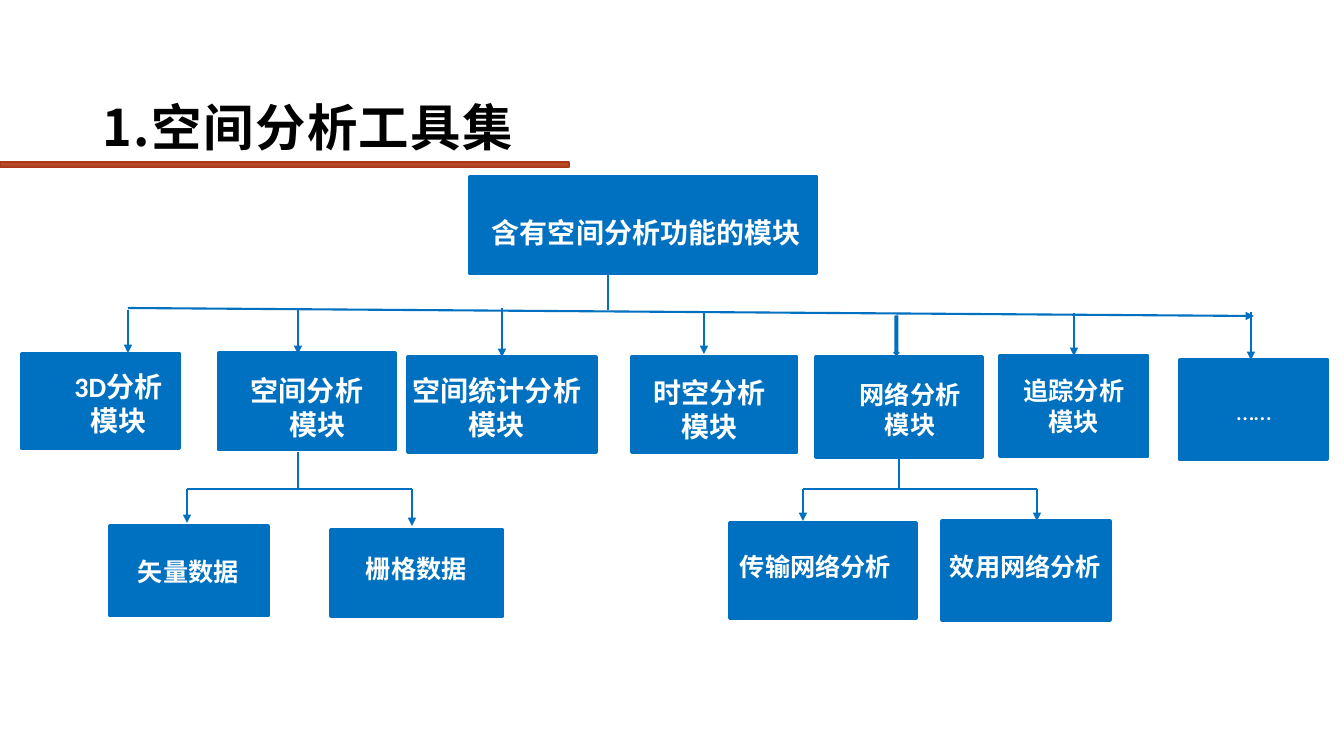
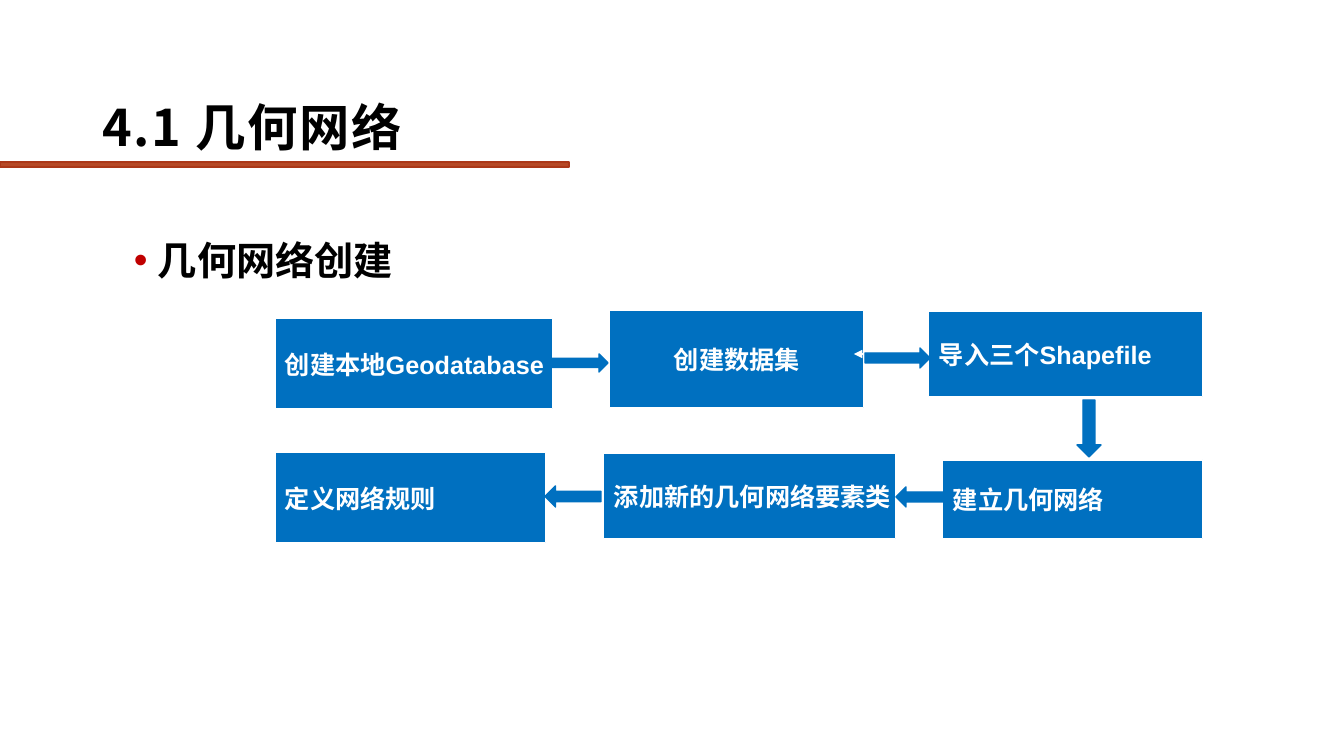
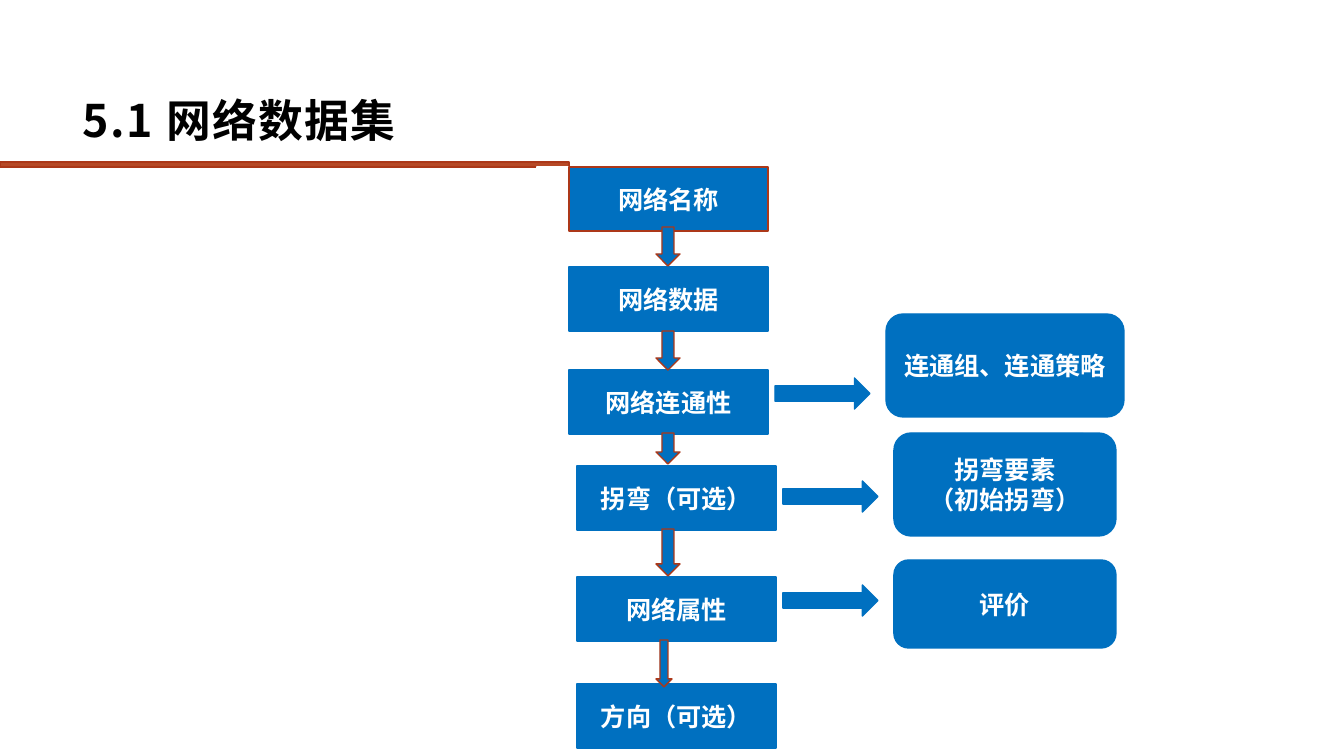
"""Build three slides on spatial analysis modules, geometric networks and network datasets."""
from dataclasses import dataclass

from lxml import etree
from pptx import Presentation
from pptx.dml.color import RGBColor
from pptx.enum.shapes import MSO_CONNECTOR, MSO_SHAPE
from pptx.enum.text import MSO_ANCHOR, MSO_AUTO_SIZE, PP_ALIGN
from pptx.oxml.ns import qn
from pptx.util import Pt

RECTANGLE, ROUNDED = MSO_SHAPE.RECTANGLE, MSO_SHAPE.ROUNDED_RECTANGLE
DOWN, RIGHT, LEFT_ARROW = MSO_SHAPE.DOWN_ARROW, MSO_SHAPE.RIGHT_ARROW, MSO_SHAPE.LEFT_ARROW
STRAIGHT = MSO_CONNECTOR.STRAIGHT
LEFT, CENTER = PP_ALIGN.LEFT, PP_ALIGN.CENTER
MIDDLE, TOP, BOTTOM = MSO_ANCHOR.MIDDLE, MSO_ANCHOR.TOP, MSO_ANCHOR.BOTTOM
FIT_TEXT = MSO_AUTO_SIZE.SHAPE_TO_FIT_TEXT
EMU_PER_PX = 914400 / 100.8
SLIDE_SIZE = (1344, 756)


@dataclass(frozen=True)
class Theme:
    """Colours, fonts and type sizes shared by the slides."""
    blue: str = "0070C0"
    white: str = "FFFFFF"
    black: str = "000000"
    rust: str = "B64926"
    rust_line: str = "AC3819"
    bullet: str = "C00000"
    heading_font: str = "Noto Sans CJK SC"
    tree_font: str = "Calibri"
    flow_font: str = "Arial"
    title: int = 36
    small_title: int = 32
    body: int = 28
    large: int = 20
    label: int = 18


THEME = Theme()
TITLE_BAR = (0, 162, 569, 5)
TITLE_AREA = (93, 11, 1008, 151)

TREE_TITLE = "1.空间分析工具集"
TREE_BOXES = [
    (470, 177, 347, 97), (22, 354, 158, 95), (219, 353, 176, 97), (408, 357, 188, 95),
    (632, 357, 165, 95), (816, 357, 166, 100), (110, 526, 158, 90), (331, 530, 172, 86),
    (730, 523, 186, 95), (942, 521, 168, 99),
]
TREE_TEXT_BOXES = [
    ((1000, 356, 148, 100), ["追踪分析", "模块"], True),
    ((1180, 360, 148, 100), ["……"], False),
]
TREE_WRAPPED_CAPTIONS = [
    ((51, 365, 135, 78), ["3D分析模块"], THEME.large, [CENTER]),
    ((241, 369, 154, 78), ["空间分析", "模块"], THEME.large, [LEFT, CENTER]),
    ((400, 369, 194, 78), ["空间统计分析模块"], THEME.large, [CENTER]),
    ((642, 371, 136, 78), ["时空分析模块"], THEME.large, [CENTER]),
    ((843, 374, 134, 72), ["网络分析模块"], THEME.label, [CENTER]),
]
TREE_LINE_CAPTIONS = [
    ((482, 211, 332, 44), "含有空间分析功能的模块", THEME.large),
    ((128, 551, 122, 40), "矢量数据", THEME.label),
    ((356, 548, 123, 40), "栅格数据", THEME.label),
    ((730, 546, 173, 40), "传输网络分析", THEME.label),
    ((940, 546, 178, 40), "效用网络分析", THEME.label),
]
TREE_TRUNK = (128, 308, 1254, 316)
TREE_BRANCH_Y = 489
TREE_BRANCHES = [(187, 412), (803, 1037)]
TREE_STEMS = [(608, 272, 310), (298, 452, TREE_BRANCH_Y), (899, 457, TREE_BRANCH_Y)]
TREE_DROPS = [
    (128, 310, 353), (298, 310, 354), (502, 308, 357), (704, 312, 354),
    (1074, 313, 356), (1251, 312, 360), (187, TREE_BRANCH_Y, 523),
    (412, TREE_BRANCH_Y, 526), (803, TREE_BRANCH_Y, 521), (1037, TREE_BRANCH_Y, 521),
]
TREE_THICK_DROP = (894, 316, 5, 39)

FLOW_TITLE = "4.1 几何网络"
FLOW_BODY = ((124, 220, 1007, 454), "几何网络创建")
FLOW_BOXES = [
    ((275, 319, 278, 90), "创建本地Geodatabase", LEFT),
    ((610, 311, 254, 97), "创建数据集", CENTER),
    ((929, 311, 274, 86), "导入三个Shapefile", LEFT),
    ((943, 460, 260, 79), "建立几何网络", LEFT),
    ((604, 454, 292, 85), "添加新的几何网络要素类", LEFT),
    ((275, 453, 271, 90), "定义网络规则", LEFT),
]
FLOW_BACK_ARROW = (891, 354, 854, 354)
FLOW_ARROWS = [
    (RIGHT, (552, 354, 56, 18)), (RIGHT, (865, 348, 65, 20)), (DOWN, (1077, 400, 24, 57)),
    (LEFT_ARROW, (896, 487, 48, 20)), (LEFT_ARROW, (545, 486, 56, 21)),
]

STEPS_TITLE = "5.1 网络数据集"
STEPS_TITLE_AREA = (73, -26, 1008, 178)
STEPS_PANEL = (537, 167, 666, 589)
STEP_SIZE = (199, 64)
STEPS = [
    (569, 167, "网络名称"), (569, 267, "网络数据"), (569, 370, "网络连通性"),
    (577, 466, "拐弯（可选）"), (577, 577, "网络属性"), (577, 684, "方向（可选）"),
]
STEP_ARROW_X = 656
STEP_ARROWS = [(227, 24, 39), (331, 24, 39), (433, 24, 31), (529, 24, 47), (640, 16, 47)]
DETAIL_ARROW_SIZE = (95, 31)
DETAILS = [
    ((775, 378), (886, 314, 238, 103), ["连通组、连通策略"]),
    ((783, 481), (894, 433, 222, 103), ["拐弯要素", "（初始拐弯）"]),
    ((783, 585), (894, 560, 222, 88), ["评价"]),
]


def px(value):
    return round(value * EMU_PER_PX)


def color(value):
    return RGBColor.from_string(value)


def style_font(paragraph, size, font_name, font_color, bold=True, spacing=None):
    font = paragraph.font
    font.size, font.bold, font.name = Pt(size), bold, font_name
    font.color.rgb = color(font_color)
    properties = paragraph._p.pPr.find(qn("a:defRPr"))
    etree.SubElement(properties, qn("a:ea"), typeface=THEME.heading_font)
    if spacing:
        properties.set("spc", str(spacing))


def write(shape, lines, size, font_name, aligns=(CENTER,), anchor=MIDDLE, wrap=True, bold=True):
    frame = shape.text_frame
    frame.word_wrap, frame.vertical_anchor = wrap, anchor
    frame.text = "\n".join(lines)
    for index, paragraph in enumerate(frame.paragraphs):
        paragraph.alignment = aligns[min(index, len(aligns) - 1)]
        style_font(paragraph, size, font_name, THEME.white, bold)


def add_block(slide, kind, area, fill=THEME.blue, line=THEME.blue, width=1):
    shape = slide.shapes.add_shape(kind, *map(px, area))
    shape.shadow.inherit = False
    shape.fill.solid()
    shape.fill.fore_color.rgb = color(fill)
    shape.line.color.rgb = color(line)
    shape.line.width = Pt(width)
    return shape


def add_text_box(slide, area):
    return slide.shapes.add_textbox(*map(px, area))


def add_caption(slide, area, lines, size, aligns, wrap):
    box = add_text_box(slide, area)
    write(box, lines, size, THEME.tree_font, aligns, TOP, wrap)
    box.text_frame.auto_size = FIT_TEXT


def add_line(slide, ends, arrow=False, line=THEME.blue, width=1.5):
    connector = slide.shapes.add_connector(STRAIGHT, *map(px, ends))
    connector.line.color.rgb = color(line)
    connector.line.width = Pt(width)
    if arrow:
        etree.SubElement(connector.line._get_or_add_ln(), qn("a:tailEnd"), type="triangle")
    etree.SubElement(connector._element.spPr, qn("a:effectLst"))
    return connector


def join(connector, boxes):
    near = px(1)
    for box in boxes:
        middle = box.left + box.width // 2
        if (abs(connector.end_x - middle) <= near
                and abs(connector.end_y - box.top) <= near):
            connector.end_connect(box, 0)
        if (abs(connector.begin_x - middle) <= near
                and abs(connector.begin_y - box.top - box.height) <= near):
            connector.begin_connect(box, 2)


def add_title(slide, text, area=TITLE_AREA, size=THEME.title):
    frame = add_text_box(slide, area).text_frame
    frame.word_wrap, frame.vertical_anchor = True, BOTTOM
    frame.text = text
    paragraph = frame.paragraphs[0]
    paragraph.line_spacing = 0.9
    style_font(paragraph, size, THEME.heading_font, THEME.black, spacing=100)


def new_slide(presentation):
    slide = presentation.slides.add_slide(presentation.slide_layouts[6])
    add_block(slide, RECTANGLE, TITLE_BAR, THEME.rust, THEME.rust_line)
    return slide


def build_tree(slide):
    add_title(slide, TREE_TITLE)
    boxes = [add_block(slide, RECTANGLE, area, width=2.25) for area in TREE_BOXES]
    for area, lines, bold in TREE_TEXT_BOXES:
        box = add_block(slide, RECTANGLE, area, width=2.25)
        write(box, lines, THEME.label, THEME.tree_font, bold=bold)
        boxes.append(box)
    add_line(slide, TREE_TRUNK, arrow=True)
    for left, right in TREE_BRANCHES:
        add_line(slide, (left, TREE_BRANCH_Y, right, TREE_BRANCH_Y))
    for verticals, arrow in ((TREE_STEMS, False), (TREE_DROPS, True)):
        for x, top, bottom in verticals:
            join(add_line(slide, (x, top, x, bottom), arrow), boxes)
    add_block(slide, DOWN, TREE_THICK_DROP)
    for area, lines, size, aligns in TREE_WRAPPED_CAPTIONS:
        add_caption(slide, area, lines, size, aligns, True)
    for area, text, size in TREE_LINE_CAPTIONS:
        add_caption(slide, area, [text], size, [LEFT], False)


def build_flow(slide):
    area, text = FLOW_BODY
    frame = add_text_box(slide, area).text_frame
    frame.word_wrap = True
    frame.text = text
    paragraph = frame.paragraphs[0]
    properties = paragraph._p.get_or_add_pPr()
    properties.set("marL", str(px(24)))
    properties.set("indent", str(px(-24)))
    bullet_color = etree.SubElement(properties, qn("a:buClr"))
    etree.SubElement(bullet_color, qn("a:srgbClr"), val=THEME.bullet)
    etree.SubElement(properties, qn("a:buFont"), typeface=THEME.flow_font)
    etree.SubElement(properties, qn("a:buChar"), char="•")
    paragraph.line_spacing = 1.25
    style_font(paragraph, THEME.body, THEME.heading_font, THEME.black)
    add_title(slide, FLOW_TITLE)
    for area, text, align in FLOW_BOXES:
        box = add_block(slide, RECTANGLE, area, line=THEME.white, width=0.75)
        write(box, [text], THEME.label, THEME.flow_font, [align], wrap=False)
    add_line(slide, FLOW_BACK_ARROW, True, THEME.white, 1.25)
    for kind, area in FLOW_ARROWS:
        add_block(slide, kind, area)


def build_steps(slide):
    add_block(slide, RECTANGLE, STEPS_PANEL, THEME.white, THEME.white)
    add_title(slide, STEPS_TITLE, STEPS_TITLE_AREA, THEME.small_title)
    for index, (left, top, text) in enumerate(STEPS):
        line = THEME.blue if index else THEME.rust_line
        box = add_block(slide, RECTANGLE, (left, top, *STEP_SIZE), line=line)
        write(box, [text], THEME.label, THEME.tree_font)
    for top, width, height in STEP_ARROWS:
        add_block(slide, DOWN, (STEP_ARROW_X, top, width, height), line=THEME.rust_line)
    for arrow_corner, area, lines in DETAILS:
        add_block(slide, RIGHT, (*arrow_corner, *DETAIL_ARROW_SIZE))
        write(add_block(slide, ROUNDED, area), lines, THEME.label, THEME.tree_font)


def main():
    presentation = Presentation()
    presentation.slide_width, presentation.slide_height = map(px, SLIDE_SIZE)
    for build in (build_tree, build_flow, build_steps):
        build(new_slide(presentation))
    presentation.save("out.pptx")


if __name__ == "__main__":
    main()
